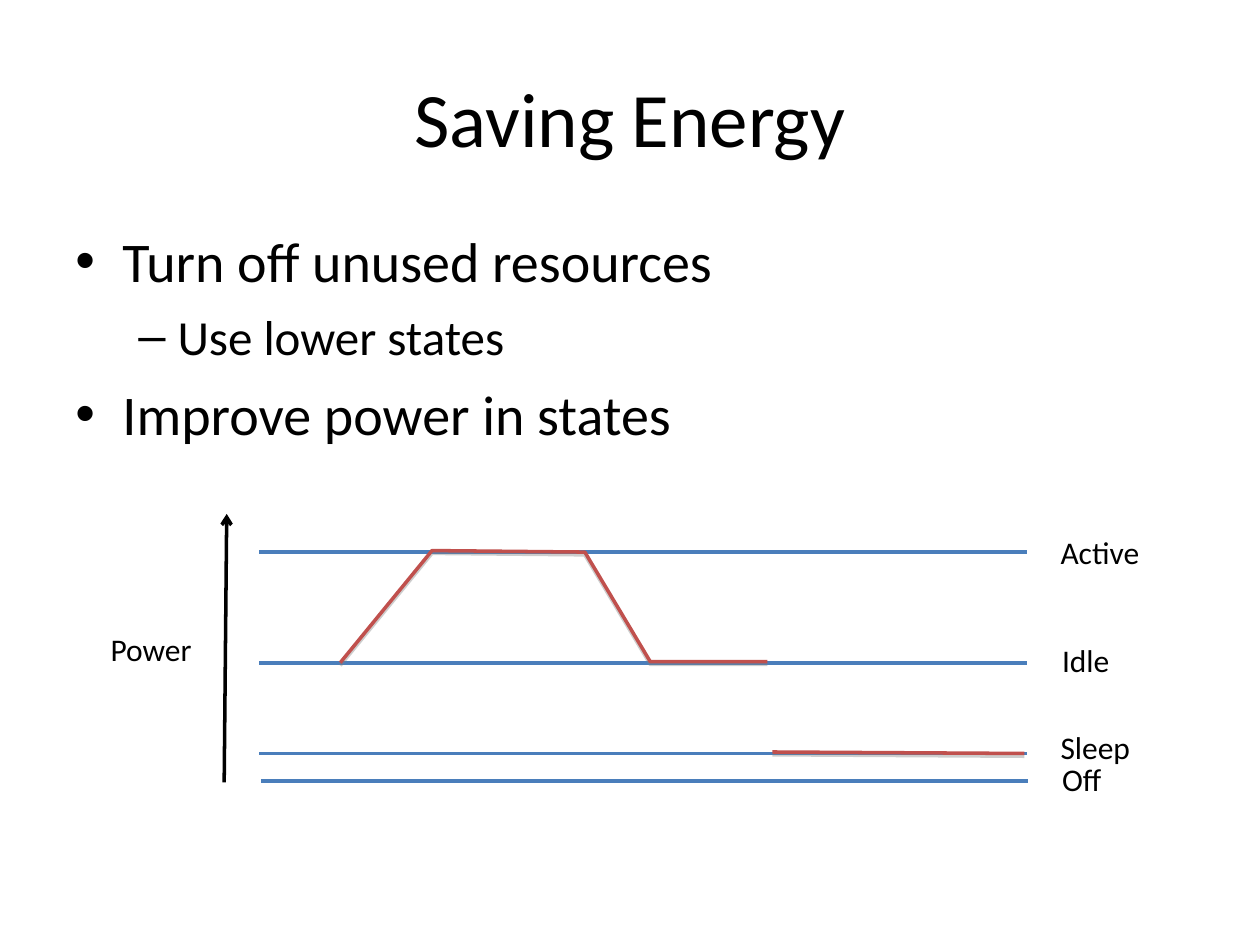
import pptx
import pptx.util
import pptx.dml.color
import pptx.enum.text
import pptx.oxml
import pptx.oxml.ns
from dataclasses import dataclass
from lxml import etree

Cm, Pt = pptx.util.Cm, pptx.util.Pt
RGB = pptx.dml.color.RGBColor
qn = pptx.oxml.ns.qn

BLACK = RGB(0x00, 0x00, 0x00)
BLUE = RGB(0x4A, 0x7E, 0xBB)
RED = RGB(0xC0, 0x50, 0x4D)
FONT = "Calibri"
WIDTH = 15.47  # length of a level line in cm


@dataclass
class Bullet:
    text: str
    size: int
    mark: str
    left: float
    hang: float
    gap: int
    level: int = 0


@dataclass
class Level:
    name: str
    left: float
    top: float
    label_x: float
    label_y: float
    label_w: float


BULLETS = [
    Bullet("Turn off unused resources", 32, "•", 0.95, 0.95, 8),
    Bullet("Use lower states", 28, "–", 2.06, 0.79, 7, 1),
    Bullet("Improve power in states", 32, "•", 0.95, 0.95, 8),
]
LEVELS = [
    Level("Active", 5.23, 11.13, 21.13, 10.62, 2.2),
    Level("Idle", 5.23, 13.36, 21.16, 12.8, 1.6),
    Level("Sleep", 5.23, 15.19, 21.13, 14.55, 2.05),
    Level("Off", 5.26, 15.75, 21.16, 15.19, 1.45),
]
TRACES = [
    [(6.86, 13.36), (8.71, 11.1), (11.79, 11.13), (13.11, 13.34), (15.47, 13.34)],
    [(15.57, 15.16), (20.65, 15.19)],
]


def style(para, size: int) -> None:
    for run in para.runs:
        run.font.name = FONT
        run.font.size = Pt(size)
        run.font.color.rgb = BLACK


def add_label(slide, text: str, x: float, y: float, w: float) -> None:
    box = slide.shapes.add_textbox(Cm(x), Cm(y), Cm(w), Cm(1.02))
    box.text_frame.word_wrap = False
    box.text_frame.text = text
    style(box.text_frame.paragraphs[0], 18)


def add_line(slide, start: tuple, end: tuple, color: RGB, width: float):
    line = slide.shapes.add_connector(1, *(Cm(v) for v in start + end))
    line.line.color.rgb = color
    line.line.width = Pt(width)
    etree.SubElement(line._element.spPr, qn("a:effectLst"))
    return line


def add_bullet(para, item: Bullet) -> None:
    para.text = item.text
    para.level = item.level
    para.space_before = Pt(item.gap)
    style(para, item.size)
    props = para._p.get_or_add_pPr()
    props.set("marL", str(Cm(item.left)))
    props.set("indent", str(-Cm(item.hang)))
    font = etree.SubElement(props, qn("a:buFont"))
    font.set("typeface", "Arial")
    etree.SubElement(props, qn("a:buChar")).set("char", item.mark)


def add_trace(slide, points: list) -> None:
    first, *rest = [(Cm(x), Cm(y)) for x, y in points]
    form = slide.shapes.build_freeform(*first)
    form.add_line_segments(rest, close=False)
    shape = form.convert_to_shape()
    shape.fill.background()
    shape.line.color.rgb = RED
    shape.line.width = Pt(2)
    # Soft grey shadow straight below the stroke
    shape.shadow.inherit = False
    effects = shape._element.spPr.find(qn("a:effectLst"))
    shadow = etree.SubElement(effects, qn("a:outerShdw"))
    shadow.set("dist", str(Pt(1.6)))
    shadow.set("dir", "5400000")
    shadow.set("rotWithShape", "0")
    color = etree.SubElement(shadow, qn("a:srgbClr"))
    color.set("val", "808080")
    etree.SubElement(color, qn("a:alpha")).set("val", "38000")


def main() -> None:
    deck = pptx.Presentation()
    deck.slide_width, deck.slide_height = Cm(25.4), Cm(19.05)
    slide = deck.slides.add_slide(deck.slide_layouts[5])

    # Title
    title = slide.shapes.title
    title.left, title.top = Cm(1.27), Cm(0.76)
    title.width, title.height = Cm(22.86), Cm(3.18)
    title.text_frame.text = "Saving Energy"
    title.text_frame.vertical_anchor = pptx.enum.text.MSO_ANCHOR.MIDDLE
    head = title.text_frame.paragraphs[0]
    head.alignment = pptx.enum.text.PP_ALIGN.CENTER
    style(head, 44)

    # Bullet list
    body = slide.shapes.add_textbox(Cm(1.27), Cm(4.45), Cm(22.86), Cm(12.57))
    frame = body.text_frame
    frame.word_wrap = True
    for i, item in enumerate(BULLETS):
        add_bullet(frame.add_paragraph() if i else frame.paragraphs[0], item)

    # Power levels with their names
    for lev in LEVELS:
        add_line(slide, (lev.left, lev.top), (lev.left + WIDTH, lev.top), BLUE, 2.25)
        add_label(slide, lev.name, lev.label_x, lev.label_y, lev.label_w)

    # Power axis
    axis = add_line(slide, (4.52, 15.77), (4.57, 10.36), BLACK, 2)
    tail = etree.SubElement(axis.line._get_or_add_ln(), qn("a:tailEnd"))
    tail.set("type", "arrow")
    add_label(slide, "Power", 1.98, 12.57, 2.25)

    # Power use over time
    for points in TRACES:
        add_trace(slide, points)

    deck.save("out.pptx")


if __name__ == "__main__":
    main()
